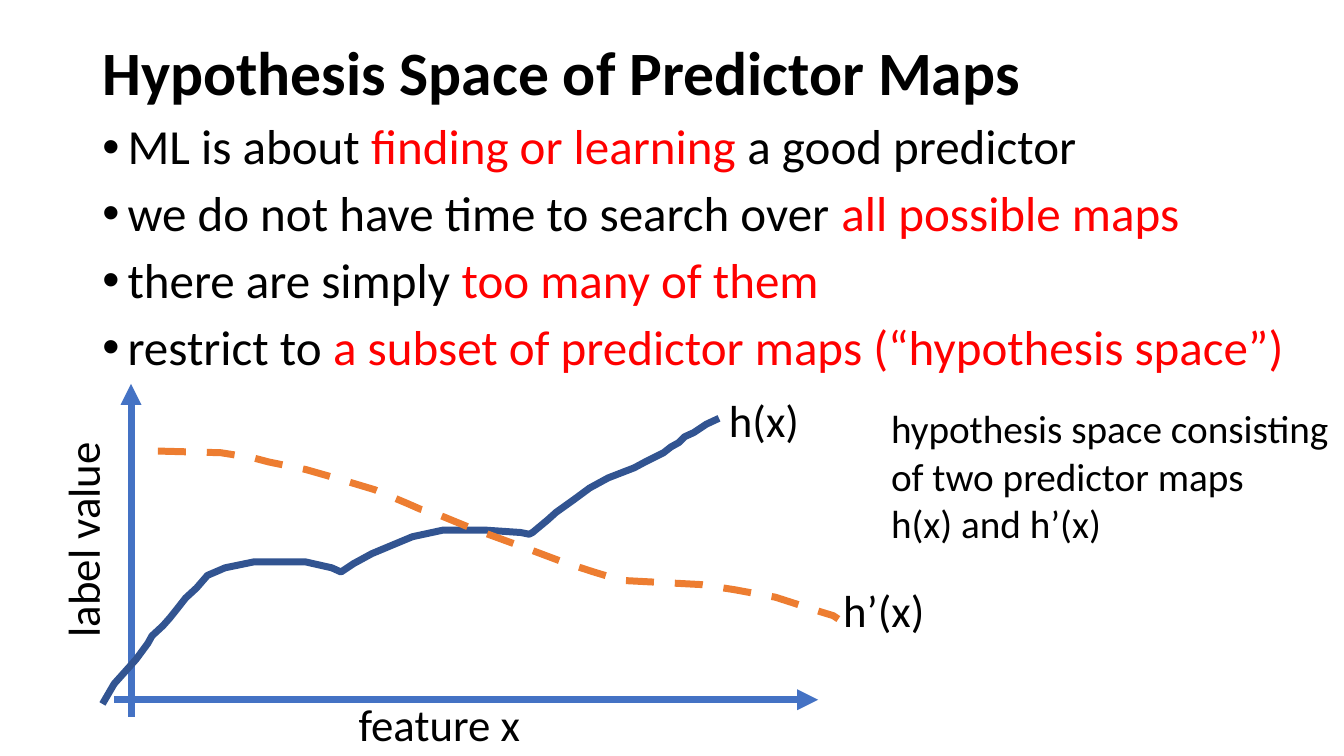
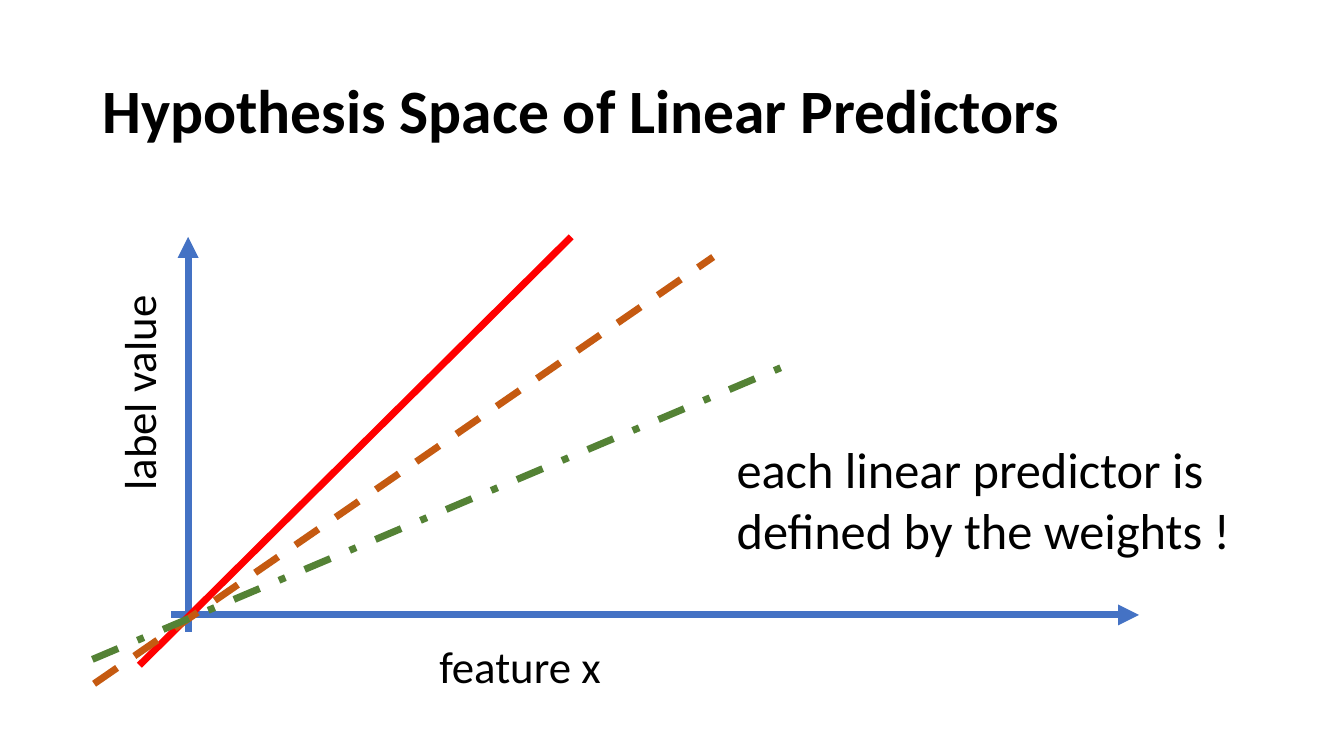
from lxml.etree import SubElement
from pptx import Presentation
from pptx.dml.color import RGBColor
from pptx.enum.dml import MSO_LINE
from pptx.enum.shapes import MSO_CONNECTOR
from pptx.enum.text import MSO_ANCHOR
from pptx.oxml.ns import qn
from pptx.util import Inches, Pt

# Square grid: 160 columns by 90 rows
COLS, ROWS = 160, 90
CELL = Inches(13.33) / COLS

FONT = "Calibri"
BLACK = RGBColor(0x00, 0x00, 0x00)
RED = RGBColor(0xFF, 0x00, 0x00)
BLUE = RGBColor(0x44, 0x72, 0xC4)
NAVY = RGBColor(0x32, 0x54, 0x91)
ORANGE = RGBColor(0xED, 0x7D, 0x31)
RUST = RGBColor(0xC5, 0x5A, 0x11)
GREEN = RGBColor(0x54, 0x82, 0x35)
STROKE = Pt(5)

# Bullets as (black, red, black) parts
POINTS = [
    ("ML is about ", "finding or learning ", "a good predictor"),
    ("we do not have time to search over ", "all possible maps"),
    ("there are simply ", "too many of them"),
    ("restrict to ", "a subset of predictor maps (“hypothesis space”)"),
]

# Curves in cells right of and above the origin of the axes
RISING = [
    (-3.4, -0.5), (-2, 1.9), (0.6, 4.8), (2, 6.7), (2.5, 7.6), (3.8, 8.8),
    (4.6, 9.7), (5.4, 10.7), (6.5, 12.1), (7.8, 13.3), (9.1, 14.8),
    (11.2, 15.7), (14.6, 16.4), (20.8, 16.4), (23.9, 15.7), (25, 15.2),
    (26.5, 16.2), (28.7, 17.4), (33.5, 19.4), (37.2, 20.2), (42, 20.2),
    (46.4, 19.9), (47.4, 19.7), (47.8, 19.9), (49.6, 21.4), (50.6, 22.3),
    (52.7, 23.8), (54.6, 25.2), (56.8, 26.4), (58.6, 27.1), (59.9, 27.6),
    (61.2, 28.3), (63.4, 29.4), (64.3, 30.1), (65.2, 30.6), (65.9, 31.3),
    (67, 31.8), (68.5, 32.8), (70, 33.5),
]
FALLING = [
    (3.2, 29.6), (10.7, 29.4), (14.5, 28.8), (16.4, 28.3), (20.8, 27.4),
    (25, 26.2), (29, 25), (32.8, 23.4), (34.4, 22.7), (36.4, 22.1),
    (40.3, 20.5), (46.6, 18.2), (51.4, 16.4), (55.1, 15.2), (58.4, 14.2),
    (67.9, 13.7), (71.8, 13.1), (76.7, 12.2), (79.2, 11.4), (81, 10.8),
    (83.6, 10), (84.2, 9.6),
]

# Straight predictors: start, end, colour, dash
LINES = [
    ((-5.8, -6), (45.6, 45), RED, None),
    ((-11.2, -8.2), (62.5, 42.6), RUST, MSO_LINE.DASH),
    ((-11.4, -5.3), (72.4, 30.2), GREEN, MSO_LINE.DASH_DOT),
]


def cells(*nums):
    return [round(n * CELL) for n in nums]


def spot(box, point):
    """Turn a point of the plot into a place on the slide."""
    left, top, _, high = box
    return cells(left + point[0], top + high - point[1])


def style(line, color, dash=None):
    line.color.rgb = color
    line.width = STROKE
    if dash:
        line.dash_style = dash


def write(slide, box, lines, size, bold=False, wrap=False, turn=0):
    """Place one text box with a paragraph for each line."""
    shape = slide.shapes.add_textbox(*cells(*box))
    shape.rotation = turn
    frame = shape.text_frame
    frame.word_wrap = wrap
    frame.text = "\n".join(lines)
    for para in frame.paragraphs:
        font = para.font
        font.name, font.size, font.bold = FONT, Pt(size), bold
        font.color.rgb = BLACK
    return frame


def title(slide, box, text):
    frame = write(slide, box, [text], 44, bold=True, wrap=True)
    frame.vertical_anchor = MSO_ANCHOR.MIDDLE
    frame.paragraphs[0].line_spacing = 0.9


def bullets(slide, box, points):
    frame = write(slide, box, [""] * len(points), 35, wrap=True)
    for para, parts in zip(frame.paragraphs, points):
        para.line_spacing = 0.9
        para.space_before = Pt(10)
        for i, part in enumerate(parts):
            run = para.add_run()
            run.text = part
            run.font.color.rgb = RED if i == 1 else BLACK
        # Hanging bullet
        props = para._p.get_or_add_pPr()
        props.set("marL", str(Inches(0.25)))
        props.set("indent", str(-Inches(0.25)))
        SubElement(props, qn("a:buFont")).set("typeface", "Arial")
        SubElement(props, qn("a:buChar")).set("char", "•")
        # The bullet precedes the default run style
        props.append(props.find(qn("a:defRPr")))


def stroke(slide, box, start, end, color, dash=None, arrow=False):
    """Draw a straight line between two points of the plot."""
    line = slide.shapes.add_connector(
        MSO_CONNECTOR.STRAIGHT, *spot(box, start), *spot(box, end))
    style(line.line, color, dash)
    if arrow:
        SubElement(line.line._get_or_add_ln(), qn("a:tailEnd")).set("type", "triangle")
    SubElement(line._element.spPr, qn("a:effectLst"))


def curve(slide, box, points, color, dash=None):
    first, *rest = [spot(box, p) for p in points]
    pen = slide.shapes.build_freeform(*first)
    pen.add_line_segments(rest, close=False)
    shape = pen.convert_to_shape()
    shape.shadow.inherit = False
    shape.fill.background()
    style(shape.line, color, dash)


def axes(slide, box, name_x, name_y):
    """Draw both axes; names sit at a (share along the axis, drop) pair."""
    left, top, wide, high = box
    over = 2
    stroke(slide, box, (-over, 0), (wide, 0), BLUE, arrow=True)
    stroke(slide, box, (0, -over), (0, high), BLUE, arrow=True)
    # Axis names
    share, drop = name_x
    tall, long_x, long_y = 7.7, 21.8, 25.9
    write(slide, (left + share * wide - long_x / 2, top + high + drop, long_x, tall),
          ["feature x"], 32)
    share, drop = name_y
    write(slide, (left - drop - long_y / 2, top + share * high - tall / 2, long_y, tall),
          ["label value"], 32, turn=270)


def maps(slide):
    title(slide, (11, 0, 138, 18.1), "Hypothesis Space of Predictor Maps")
    bullets(slide, (11, 14, 145.8, 31.7), POINTS)
    # Plot with two curves
    plot = (15.6, 45.7, 81.8, 37.6)
    axes(slide, plot, (0.45, -1), (0.49, 5.8))
    curve(slide, plot, RISING, NAVY)
    curve(slide, plot, FALLING, ORANGE, MSO_LINE.DASH)
    write(slide, (85.6, 46.2, 10.9, 7.7), ["h(x)"], 32)
    write(slide, (99.2, 68.8, 12.2, 7.7), ["h’(x)"], 32)
    # Remark
    write(slide, (104.9, 47.6, 55.1, 18.1),
          ["hypothesis space consisting", "of two predictor maps", "h(x) and h’(x)"], 28)


def linear(slide):
    title(slide, (11, 4.8, 138, 17.4), "Hypothesis Space of Linear Predictors")
    # Plot with three lines
    plot = (22.4, 28.2, 113.2, 45)
    axes(slide, plot, (0.35, 2.2), (0.41, 5.9))
    for start, end, color, dash in LINES:
        stroke(slide, plot, start, end, color, dash)
    # Remark
    write(slide, (86.5, 51.6, 63.1, 15.7),
          ["each linear predictor is", "defined by the weights !"], 36)


def main():
    deck = Presentation()
    deck.slide_width, deck.slide_height = cells(COLS, ROWS)
    for fill in (maps, linear):
        fill(deck.slides.add_slide(deck.slide_layouts[6]))
    deck.save("out.pptx")


if __name__ == "__main__":
    main()
